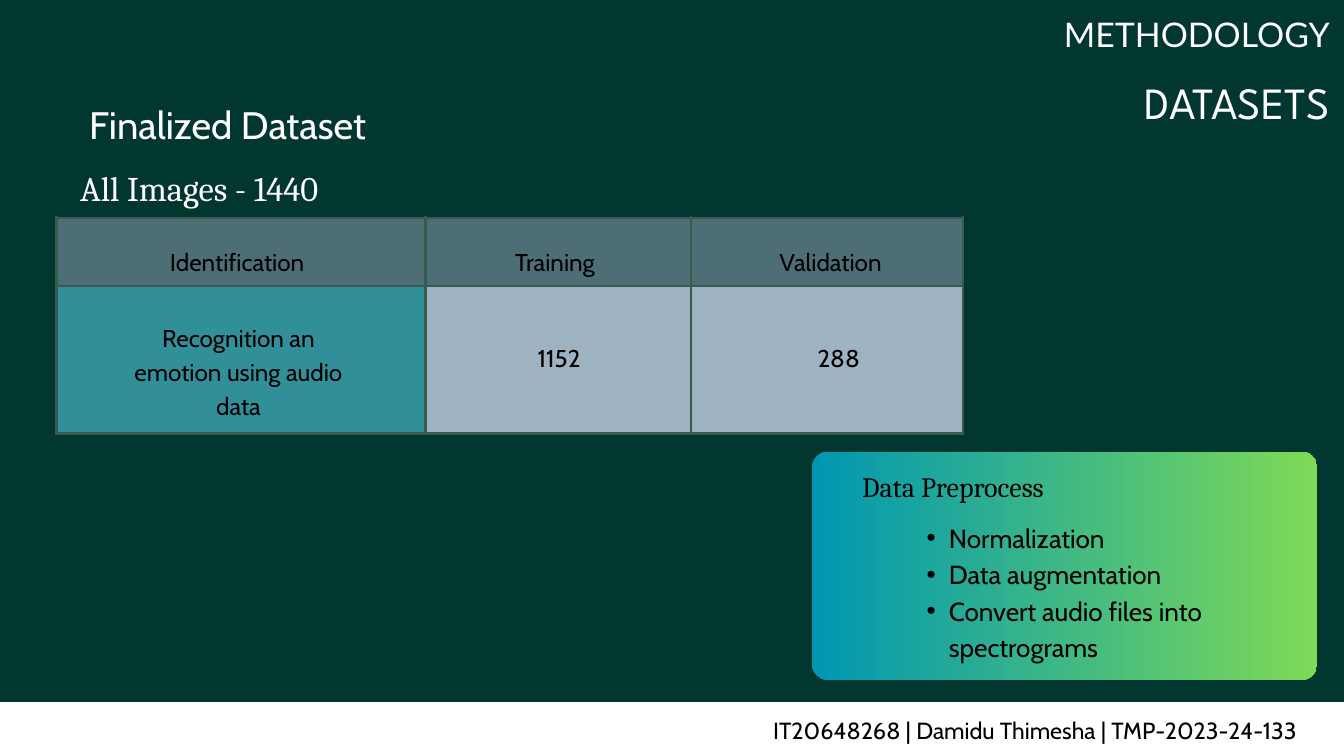
from dataclasses import dataclass

from lxml.etree import SubElement
from pptx import Presentation
from pptx.dml.color import RGBColor
from pptx.enum.shapes import MSO_SHAPE
from pptx.enum.text import PP_ALIGN
from pptx.oxml.ns import qn
from pptx.util import Inches, Pt


@dataclass(frozen=True)
class Theme:
    background: str = "02372F"
    light: str = "FFFFFF"
    dark: str = "000000"
    border: str = "385B4F"
    header: str = "4D6E74"
    label: str = "318F9A"
    value: str = "9DB3C1"
    gradient: tuple = ("0097B2", "7ED957")
    body_font: str = "Cabin"
    serif_font: str = "Cambria"
    section_font: str = "League Spartan"
    chapter_font: str = "Lato"
    section_size: float = 47.8
    heading_size: float = 41
    total_size: float = 37
    chapter_size: float = 36.3
    card_title_size: float = 30
    list_size: float = 28
    table_size: float = 26
    footer_size: float = 25
    leading: float = 1.4
    border_width: float = 3


THEME = Theme()


def color(code):
    return RGBColor.from_string(code)


def write(paragraph, text, size, ink, font=THEME.body_font, align=PP_ALIGN.CENTER):
    paragraph.alignment = align
    paragraph.line_spacing = Pt(round(size * THEME.leading, 1))
    run = paragraph.add_run()
    run.text = text
    run.font.name = font
    run.font.size = Pt(size)
    run.font.color.rgb = color(ink)


def add_frame(slide, left, top, width, height):
    frame = slide.shapes.add_textbox(
        Inches(left), Inches(top), Inches(width), Inches(height)
    ).text_frame
    frame.word_wrap = True
    frame.margin_left = frame.margin_right = 0
    frame.margin_top = frame.margin_bottom = 0
    return frame


def add_label(slide, place, text, size, ink, **style):
    write(add_frame(slide, *place).paragraphs[0], text, size, ink, **style)


def add_bullets(slide, place, items):
    frame = add_frame(slide, *place)
    for index, item in enumerate(items):
        paragraph = frame.add_paragraph() if index else frame.paragraphs[0]
        paragraph.level = 1
        properties = paragraph._p.get_or_add_pPr()
        properties.set("marL", str(Inches(0.66)))
        properties.set("indent", str(Inches(-0.33)))
        SubElement(properties, qn("a:buFont"), typeface="Arial")
        SubElement(properties, qn("a:buChar"), char="•")
        write(paragraph, item, THEME.list_size, THEME.dark, align=PP_ALIGN.LEFT)


def add_panel(slide, kind, left, top, width, height):
    panel = slide.shapes.add_shape(
        kind, Inches(left), Inches(top), Inches(width), Inches(height)
    )
    panel.shadow.inherit = False
    panel.line.fill.background()
    return panel


def add_preprocess_card(slide):
    card = add_panel(slide, MSO_SHAPE.ROUNDED_RECTANGLE, 12.08, 6.72, 7.52, 3.4)
    card.adjustments[0] = 0.07
    card.fill.gradient()
    card.fill.gradient_angle = 0
    for stop, code in zip(card.fill.gradient_stops, THEME.gradient):
        stop.color.rgb = color(code)
    add_label(slide, (12.52, 6.9, 3.32, 0.58), "Data Preprocess",
              THEME.card_title_size, THEME.dark, font=THEME.serif_font)
    add_bullets(slide, (13.46, 7.69, 5.38, 2.15),
                ["Normalization", "Data augmentation",
                 "Convert audio files into spectrograms"])


def style_cell(cell, fill):
    properties = cell._tc.get_or_add_tcPr()
    for side in ("lnL", "lnR", "lnT", "lnB"):
        line = SubElement(properties, qn(f"a:{side}"), w=str(Pt(THEME.border_width)))
        SubElement(SubElement(line, qn("a:solidFill")), qn("a:srgbClr"),
                   val=THEME.border)
    cell.fill.solid()
    cell.fill.fore_color.rgb = color(fill)


def add_split_grid(slide):
    widths, heights = (5.49, 3.95, 4.05), (1.02, 2.19)
    fills = ((THEME.header,) * 3, (THEME.label, THEME.value, THEME.value))
    table = slide.shapes.add_table(
        len(heights), len(widths), Inches(0.84), Inches(3.24),
        Inches(sum(widths)), Inches(sum(heights))
    ).table
    table.first_row = table.horz_banding = False
    for column, width in zip(table.columns, widths):
        column.width = Inches(width)
    for row, height, row_fills in zip(table.rows, heights, fills):
        row.height = Inches(height)
        for cell, fill in zip(row.cells, row_fills):
            style_cell(cell, fill)


def add_split_entries(slide):
    entries = (
        ((2.26, 3.6, 2.54, 0.49), "Identification"),
        ((6.99, 3.6, 2.54, 0.49), "Training"),
        ((11.09, 3.6, 2.54, 0.49), "Validation"),
        ((1.75, 4.74, 3.6, 1.49), "Recognition an emotion using audio data"),
        ((7.13, 5.03, 2.38, 0.49), "1152"),
        ((11.29, 5.03, 2.38, 0.49), "288"),
    )
    for place, text in entries:
        add_label(slide, place, text, THEME.table_size, THEME.dark)


def add_footer(slide):
    band = add_panel(slide, MSO_SHAPE.RECTANGLE, 0, 10.45, 20, 0.8)
    band.fill.solid()
    band.fill.fore_color.rgb = color(THEME.light)
    add_label(slide, (11.15, 10.59, 8.5, 0.46),
              "IT20648268 | Damidu Thimesha | TMP-2023-24-133",
              THEME.footer_size, THEME.dark)


def add_headings(slide):
    add_label(slide, (15.72, 0.1, 4.07, 0.68), "METHODOLOGY", THEME.chapter_size,
              THEME.light, font=THEME.chapter_font, align=PP_ALIGN.RIGHT)
    add_label(slide, (15.89, 0.98, 3.9, 0.89), "DATASETS", THEME.section_size,
              THEME.light, font=THEME.section_font, align=PP_ALIGN.RIGHT)
    add_label(slide, (0.84, 1.39, 5.1, 0.76), "Finalized Dataset",
              THEME.heading_size, THEME.light)
    add_label(slide, (0.92, 2.38, 4.09, 0.69), "All Images - 1440",
              THEME.total_size, THEME.light, font=THEME.serif_font)


def main():
    deck = Presentation()
    deck.slide_width, deck.slide_height = Inches(20), Inches(11.25)
    slide = deck.slides.add_slide(deck.slide_layouts[6])
    slide.background.fill.solid()
    slide.background.fill.fore_color.rgb = color(THEME.background)
    add_headings(slide)
    add_split_grid(slide)
    add_split_entries(slide)
    add_preprocess_card(slide)
    add_footer(slide)
    deck.save("out.pptx")


if __name__ == "__main__":
    main()
